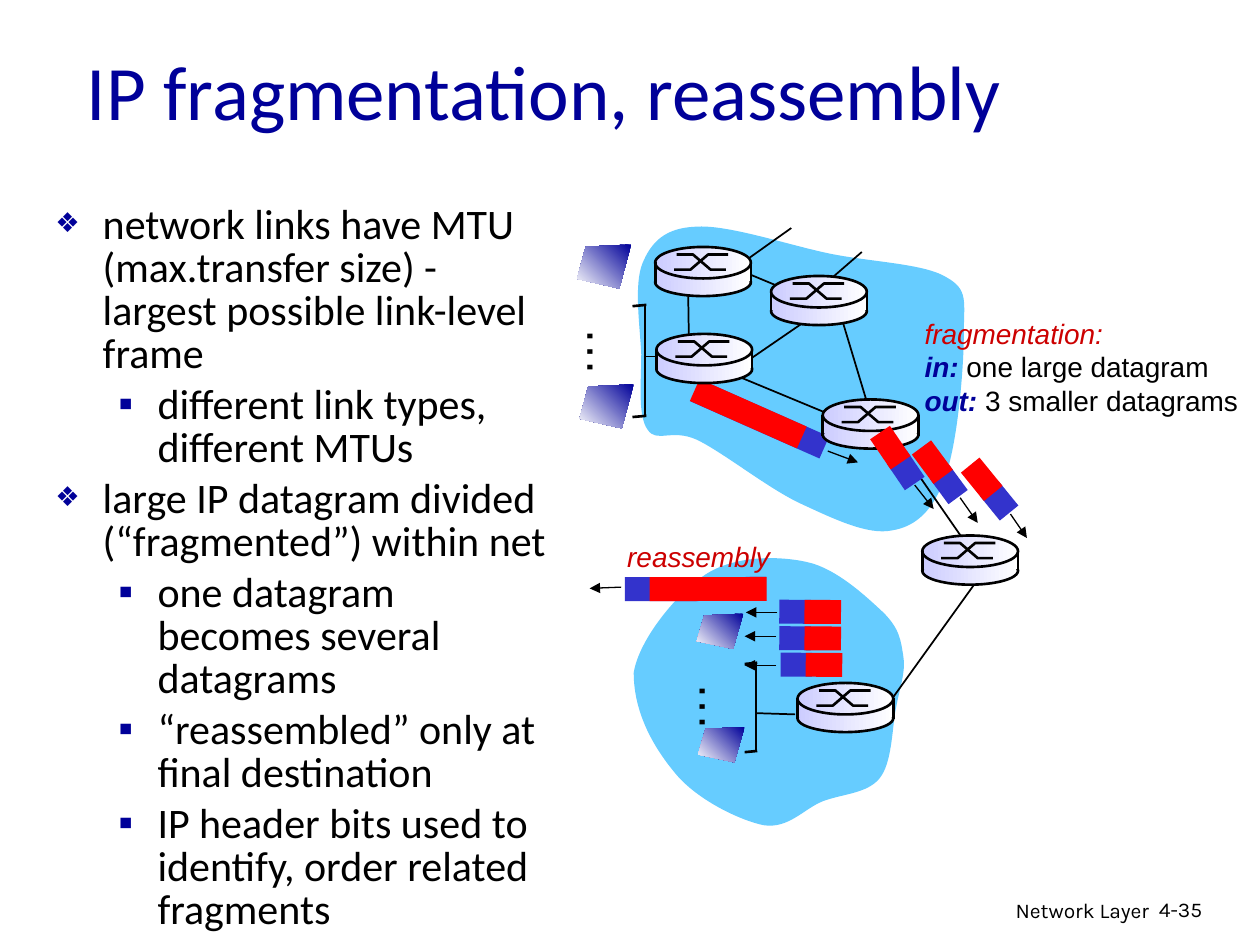
from math import cos, radians, sin

from lxml.etree import SubElement
from pptx import Presentation
from pptx.dml.color import RGBColor
from pptx.enum.shapes import MSO_CONNECTOR as CONN, MSO_SHAPE as SHAPE
from pptx.enum.text import MSO_ANCHOR as ANCHOR, MSO_AUTO_SIZE as AUTO, PP_ALIGN as ALIGN
from pptx.oxml.ns import qn
from pptx.util import Inches, Pt

NAVY, RED, BLACK, WHITE = "000099", "CC0000", "000000", "FFFFFF"
SKY, HEADER, PAYLOAD, LILAC = "66CCFF", "3333CC", "FF0000", "CCCCFF"

TITLE = "IP fragmentation, reassembly"
BULLETS = [
    (0, "network links have MTU (max.transfer size) - largest possible link-level frame"),
    (1, "different link types, different MTUs"),
    (0, "large IP datagram divided (“fragmented”) within net"),
    (1, "one datagram becomes several datagrams"),
    (1, "“reassembled” only at final destination"),
    (1, "IP header bits used to identify, order related fragments"),
]
LEVELS = [dict(char="❖", left=3 / 8, hang=3 / 8, size=65), dict(char="▪", left=0.81, hang=0.31, size=100)]
NOTE = [
    [("fragmentation:", dict(color=RED, italic=True))],
    [("in:", dict(color=NAVY, bold=True, italic=True)), (" one large datagram", {})],
    [("out:", dict(color=NAVY, bold=True, italic=True)), (" 3 smaller datagrams", {})],
]
CLOUDS = [
    [(5.52, 1.8), (5.28, 1.81), (5.17, 1.92), (5.1, 2.09), (5.03, 2.26), (5.08, 2.59), (5.09, 2.81),
     (5.09, 3.03), (5.06, 3.3), (5.14, 3.41), (5.21, 3.52), (5.33, 3.4), (5.53, 3.49),
     (5.74, 3.59), (6.1, 3.88), (6.36, 4), (6.62, 4.12), (6.89, 4.25), (7.08, 4.21),
     (7.27, 4.18), (7.41, 4.05), (7.5, 3.79), (7.6, 3.53), (7.65, 2.92), (7.65, 2.66),
     (7.65, 2.39), (7.69, 2.3), (7.51, 2.2), (7.33, 2.09), (6.9, 2.08), (6.57, 2.01),
     (6.24, 1.94), (5.77, 1.78), (5.52, 1.8)],
    [(5.03, 5.34), (5.07, 5.08), (5.37, 4.71), (5.6, 4.56), (5.83, 4.41), (6.17, 4.41), (6.4, 4.46),
     (6.64, 4.51), (6.88, 4.74), (7.01, 4.86), (7.14, 4.99), (7.15, 5.08), (7.17, 5.21),
     (7.19, 5.34), (7.14, 5.46), (7.11, 5.63), (7.08, 5.79), (7.08, 6.06), (6.98, 6.18),
     (6.88, 6.3), (6.69, 6.3), (6.53, 6.36), (6.38, 6.42), (6.26, 6.58), (6.06, 6.55),
     (5.87, 6.51), (5.54, 6.35), (5.37, 6.15), (5.2, 5.95), (5.03, 5.67), (5.03, 5.34)],
]
LINKS = [
    (5.11, 2.83, 5.25, 2.83), (5.74, 2.09, 6.46, 2.39), (6.66, 2.46, 6.88, 3.19),
    (5.46, 2.21, 5.47, 2.85), (5.72, 2.93, 6.78, 3.37), (7.63, 4.26, 7.11, 3.51),
    (6.58, 2.42, 5.75, 2.99), (6.28, 1.81, 5.76, 2.18), (6.84, 2, 6.54, 2.26),
    (7.76, 4.6, 7.07, 5.56),
]
LAST_LINK = (6, 5.66, 6.31, 5.67)
SMALL, LARGE = (0.25, 0.29, 0.22), (1.12, 0.93, 0.1)
SENT = [(6.03, 3.33, 23.9, LARGE, (6.57, 3.58, 6.81, 3.67))]
ARRIVED = [
    (6.31, 4.86, 180.4, SMALL, (6.17, 4.86, 5.92, 4.86)),
    (6.31, 5.07, 180.4, SMALL, (6.16, 5.05, 5.91, 5.05)),
    (6.32, 5.28, 180.4, SMALL, (6.16, 5.28, 5.91, 5.28)),
]
REASSEMBLED = [(5.52, 4.68, 179.9, LARGE, (4.93, 4.66, 4.68, 4.67))]
FRAGMENTS = [
    (7.19, 3.74, 55.8, SMALL, (7.26, 3.85, 7.41, 4.04)),
    (7.53, 3.85, 53.6, SMALL, (7.62, 3.95, 7.76, 4.15)),
    (7.93, 3.98, 50.9, SMALL, (8.02, 4.08, 8.15, 4.27)),
]
UPPER_ROUTERS = [(6.53, 3.17), (5.2, 1.96), (5.21, 2.65), (6.12, 2.19)]
LOWER_ROUTERS = [(7.32, 4.25), (6.33, 5.42)]
SENDERS = dict(bracket=(5.02, 5.12, 2.42, 3.3), size=(0.43, 0.35), hosts=[(4.58, 1.94), (4.6, 3.05)], dots=(4.52, 2.51))
RECEIVERS = dict(bracket=(5.91, 6, 5.26, 5.96), size=(0.37, 0.28), hosts=[(5.53, 4.87), (5.54, 5.77)], dots=(5.41, 5.33))
HOST_OUTLINE = [(1, 0), (0.16, 0.05), (0, 0.78), (0.78, 1)]


def rgb(color):
    """Turn a hex string into a colour."""
    return RGBColor.from_string(color)


def write(p, text, size=16, font="Arial", color=BLACK, bold=False, italic=False):
    """Add one formatted run to a paragraph."""
    r = p.add_run()
    r.text = text
    f = r.font
    f.size, f.name, f.bold, f.italic = Pt(size), font, bold, italic
    f.color.rgb = rgb(color)


def place(sp, *box):
    """Set left, top, width and height in inches."""
    sp.left, sp.top, sp.width, sp.height = map(Inches, box)


def textbox(s, box, lines, wrap=False, align=ALIGN.LEFT, rotation=0):
    """Add a text box whose lines are lists of (text, format) runs."""
    sp = s.shapes.add_textbox(*map(Inches, box))
    sp.rotation = rotation
    tf = sp.text_frame
    tf.word_wrap = wrap
    tf.auto_size = AUTO.NONE if wrap else AUTO.SHAPE_TO_FIT_TEXT
    for i, line_runs in enumerate(lines):
        p = tf.add_paragraph() if i else tf.paragraphs[0]
        p.alignment = align
        for text, fmt in line_runs:
            write(p, text, **fmt)


def paint(sp, fill=None, angle=0, line=None):
    """Fill a shape with nothing, one colour or a two-colour gradient."""
    sp.shadow.inherit = False
    if fill is None:
        sp.fill.background()
    elif isinstance(fill, tuple):
        sp.fill.gradient()
        sp.fill.gradient_angle = angle
        for stop, color in zip(sp.fill.gradient_stops, fill):
            stop.color.rgb = rgb(color)
    else:
        sp.fill.solid()
        sp.fill.fore_color.rgb = rgb(fill)
    if line:
        sp.line.color.rgb, sp.line.width = rgb(BLACK), Pt(line)
    else:
        sp.line.fill.background()


def shape(s, kind, box, rotation=0, **look):
    """Add a preset shape."""
    sp = s.shapes.add_shape(kind, *map(Inches, box))
    sp.rotation = rotation
    paint(sp, **look)


def outline(s, points, close=True, curved=False, **look):
    """Add a freeform; a curved one takes points in threes as cubic curves."""
    pts = [(Inches(x), Inches(y)) for x, y in points]
    fb = s.shapes.build_freeform(*pts[0])
    fb.add_line_segments(pts[1:], close=close)
    sp = fb.convert_to_shape()
    if curved:
        steps = list(sp._element.iter(qn("a:lnTo")))
        for i in range(0, len(steps) - 2, 3):
            steps[i].tag = qn("a:cubicBezTo")
            for step in steps[i + 1:i + 3]:
                steps[i].append(step[0])
                step.getparent().remove(step)
    paint(sp, **look)


def line(s, ends, width=1.0, arrow=False):
    """Add a straight line, with an arrowhead at its end if asked."""
    c = s.shapes.add_connector(CONN.STRAIGHT, *map(Inches, ends))
    c.line.color.rgb, c.line.width = rgb(BLACK), Pt(width)
    pr = c._element.spPr
    if arrow:
        SubElement(pr.find(qn("a:ln")), qn("a:tailEnd"), type="triangle")
    SubElement(pr, qn("a:effectLst"))


def packets(s, items):
    """Group datagrams: a header with the payload set back along its direction."""
    g = s.shapes.add_group_shape()
    for x, y, angle, (head, load, back), _ in items:
        a = radians(angle)
        for w, gap, color in ((head, 0, HEADER), (load, back, PAYLOAD)):
            cx, cy = x - gap * cos(a), y - gap * sin(a)
            shape(g, SHAPE.RECTANGLE, (cx - w / 2, cy - 0.1, w, 0.19), angle, fill=color)
    for *_, arrow in items:
        line(g, arrow, 0.75, arrow=True)
    return g


def router(s, x, y):
    """Group a router: a drum with crossed paths on top."""
    g = s.shapes.add_group_shape()
    for kind, dy, h, border in ((SHAPE.OVAL, 0.17, 0.22, 1.5), (SHAPE.RECTANGLE, 0.14, 0.13, None),
                                (SHAPE.OVAL, 0, 0.25, 1.5)):
        shape(g, kind, (x, y + dy, 0.76, h), fill=(LILAC, WHITE), line=border)
    for xs, start, end in (((0.15, 0.28, 0.42, 0.58), 0.18, 0.06), ((0.17, 0.3, 0.44, 0.56), 0.06, 0.18)):
        outline(g, [(x + dx, y + dy) for dx, dy in zip(xs, (start, start, end, end))], close=False, line=1.5)
    for side in (x, x + 0.76):
        line(g, (side, y + 0.12, side, y + 0.29), 1.5)


def host_group(s, bracket, size, hosts, dots):
    """Group a bracket joining two hosts with dots between them."""
    g = s.shapes.add_group_shape()
    left, right, top, bottom = bracket
    for y in (top, bottom):
        line(g, (left, y + 0.01, right + 0.01, y), 1.5)
    line(g, (right, top, right, bottom))
    for x, y in hosts:
        outline(g, [(x + u * size[0], y + v * size[1]) for u, v in HOST_OUTLINE], fill=(NAVY, WHITE), angle=225)
    textbox(g, (*dots, 0.59, 0.57), [[("…", dict(size=28))]], rotation=90)


def bullet(p, char, left, hang, size):
    """Give a paragraph its indent and bullet."""
    pr = p._p.get_or_add_pPr()
    pr.set("marL", str(Inches(left)))
    pr.set("indent", str(-Inches(hang)))
    SubElement(SubElement(pr, qn("a:buClr")), qn("a:srgbClr"), val=NAVY)
    SubElement(pr, qn("a:buSzPct"), val=str(size * 1000))
    SubElement(pr, qn("a:buFont"), typeface="Arial")
    SubElement(pr, qn("a:buChar"), char=char)


def fill_placeholders(s):
    """Write the title and the bullet list."""
    title, body = s.shapes.title, s.placeholders[1]
    place(title, 0.59, 0.2, 8.5, 1.02)
    place(body, 0.34, 1.58, 4.17, 5.57)
    for sp, anchor in ((title, ANCHOR.MIDDLE), (body, ANCHOR.TOP)):
        sp.text_frame.auto_size, sp.text_frame.vertical_anchor = AUTO.NONE, anchor
    p = title.text_frame.paragraphs[0]
    p.alignment = ALIGN.LEFT
    write(p, TITLE, size=44, font="Calibri", color=NAVY)
    for i, (level, text) in enumerate(BULLETS):
        p = body.text_frame.add_paragraph() if i else body.text_frame.paragraphs[0]
        bullet(p, **LEVELS[level])
        p.level, p.line_spacing, p.space_before = level, 0.85, Pt(4.8 if i else 0)
        write(p, text, size=24, font="Calibri")


def main():
    """Build the slide."""
    prs = Presentation()
    prs.slide_width, prs.slide_height = Inches(10), Inches(7.5)
    s = prs.slides.add_slide(prs.slide_layouts[1])
    footer = dict(size=12, font="Karla")
    textbox(s, (6.05, 7.07, 3.17, 0.31), [[("Network Layer", footer)]], wrap=True, align=ALIGN.RIGHT)
    textbox(s, (9.1, 7.07, 0.74, 0.3), [[("4-35", footer)]], wrap=True)
    fill_placeholders(s)
    for knots in CLOUDS:
        outline(s, knots, curved=True, fill=SKY)
    for ends in LINKS:
        line(s, ends)
    packets(s, SENT)
    textbox(s, (7.24, 2.46, 2.7, 0.9), NOTE)
    line(s, LAST_LINK)
    packets(s, ARRIVED)
    g = packets(s, REASSEMBLED)
    textbox(g, (4.88, 4.23, 1.34, 0.37), [[("reassembly", dict(color=RED, italic=True))]])
    host_group(s, **SENDERS)
    for x, y in UPPER_ROUTERS:
        router(s, x, y)
    packets(s, FRAGMENTS)
    for x, y in LOWER_ROUTERS:
        router(s, x, y)
    host_group(s, **RECEIVERS)
    prs.save("out.pptx")


if __name__ == "__main__":
    main()
